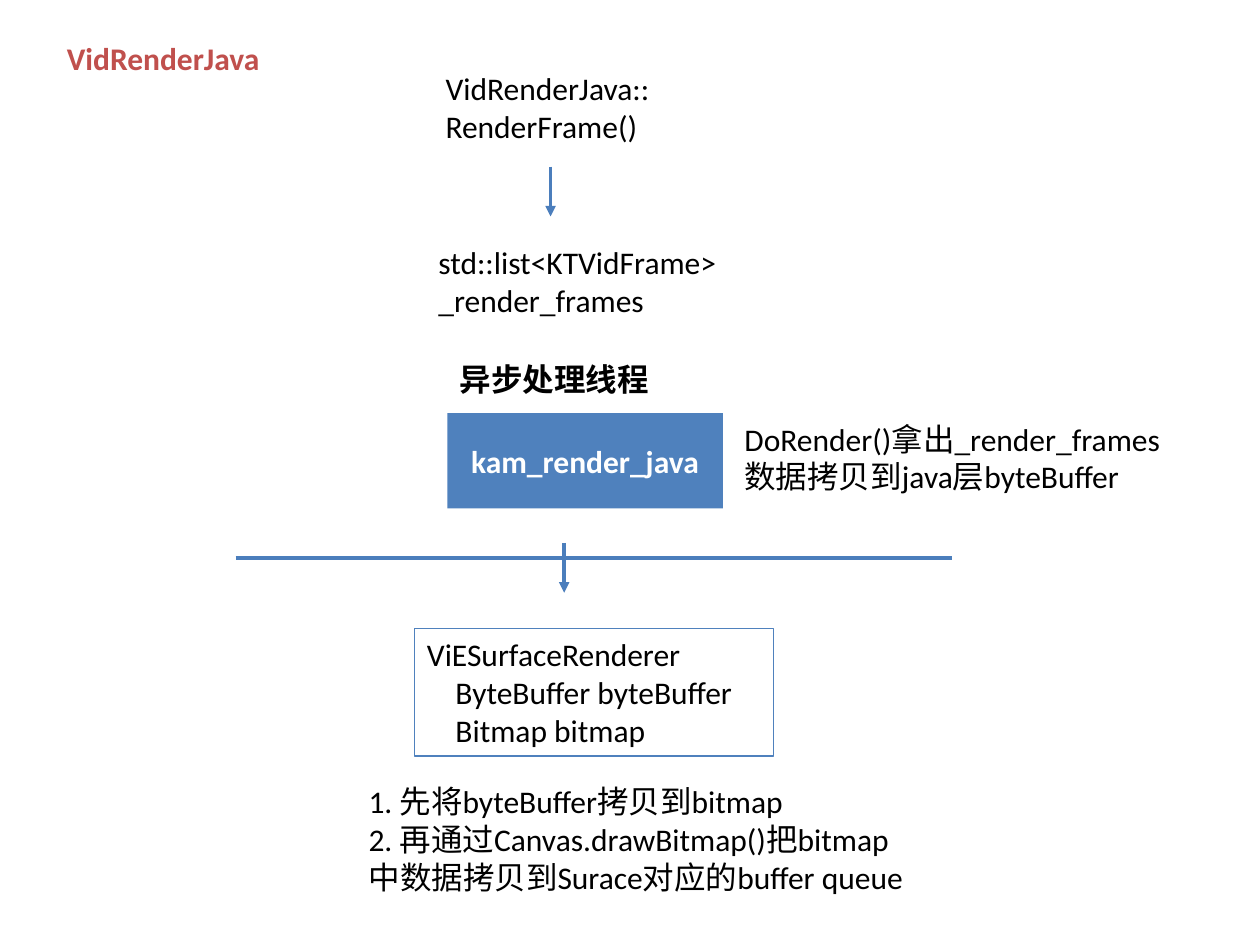
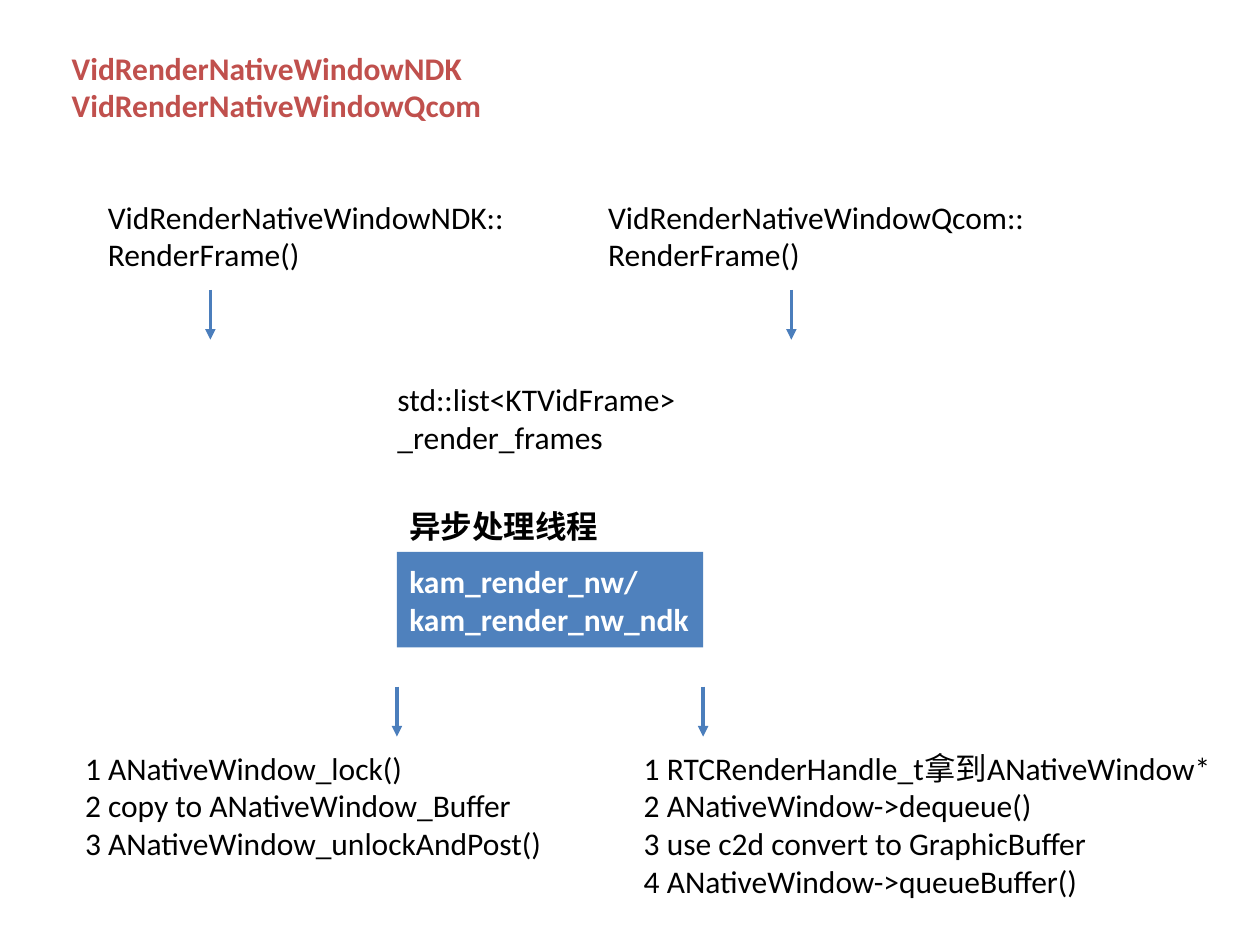
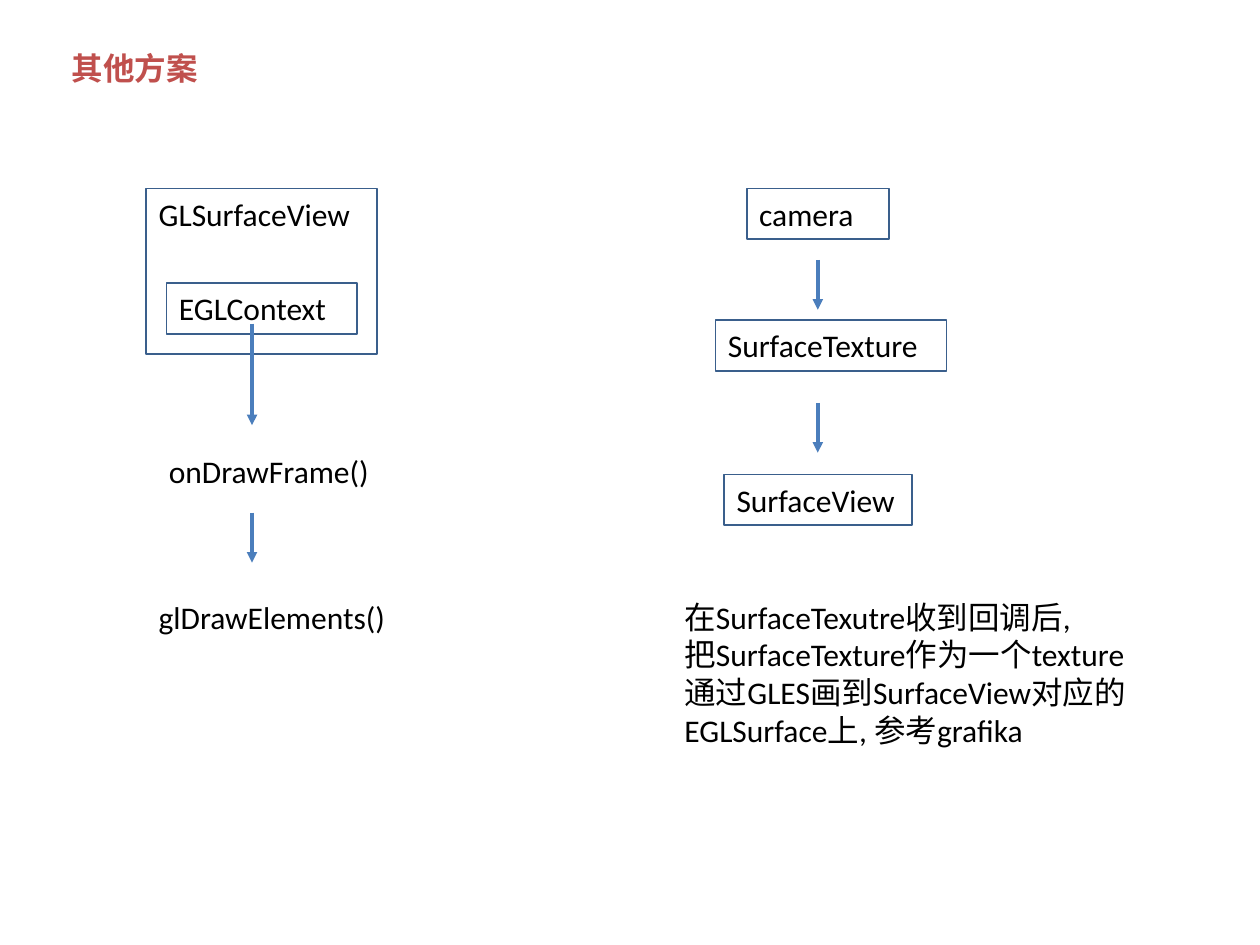
import pptx
import pptx.dml.color
import pptx.enum.shapes
import pptx.enum.text
import pptx.oxml
import pptx.oxml.ns
import pptx.util

Pt = pptx.util.Pt
ANCHOR = pptx.enum.text.MSO_ANCHOR
ALIGN = pptx.enum.text.PP_ALIGN
COLORS = {"title": "C0504D", "text": "000000", "white": "FFFFFF",
          "fill": "4F81BD", "line": "4B7EBC", "border": "3A5F8C"}
FONT = "Calibri"
FONT_SIZE = 18
ROW = 29  # height of a one-line box
LINE_PITCH = 22  # each further line of text


def rgb(name):
    return pptx.dml.color.RGBColor.from_string(COLORS[name])


def write(shape, text, color="text", bold=False, align=ALIGN.LEFT,
          anchor=ANCHOR.TOP, indent=0):
    """Write one paragraph a line; indent applies to all but the first."""
    frame = shape.text_frame
    frame.word_wrap = True
    frame.auto_size = pptx.enum.text.MSO_AUTO_SIZE.NONE
    frame.vertical_anchor = anchor
    frame.text = text
    for index, paragraph in enumerate(frame.paragraphs):
        if indent and index:
            paragraph._p.get_or_add_pPr().set("marL", str(Pt(indent)))
        paragraph.alignment = align
        for run in paragraph.runs:
            run.font.name = FONT
            run.font.size = Pt(FONT_SIZE)
            run.font.bold = bold
            run.font.color.rgb = rgb(color)


class Deck:
    def __init__(self):
        self.presentation = pptx.Presentation()
        self.presentation.slide_width = Pt(720)
        self.presentation.slide_height = Pt(540)
        self.slide = None

    def add_slide(self, title, left, top, width, lines=1):
        layout = self.presentation.slide_layouts[5]
        self.slide = self.presentation.slides.add_slide(layout)
        shape = self.slide.shapes.title
        shape.left, shape.top = Pt(left), Pt(top)
        shape.width, shape.height = Pt(width), Pt(ROW + LINE_PITCH * (lines - 1))
        write(shape, title, color="title", bold=True)

    def text(self, text, left, top, width, lines=1, **style):
        height = ROW + LINE_PITCH * (lines - 1)
        shape = self.slide.shapes.add_textbox(Pt(left), Pt(top), Pt(width), Pt(height))
        write(shape, text, **style)

    def box(self, text, left, top, width, height=ROW, fill=None,
            border=None, border_width=1, **style):
        shape = self.slide.shapes.add_shape(
            pptx.enum.shapes.MSO_SHAPE.RECTANGLE, Pt(left), Pt(top), Pt(width), Pt(height))
        shape.shadow.inherit = False
        if fill:
            shape.fill.solid()
            shape.fill.fore_color.rgb = rgb(fill)
        else:
            shape.fill.background()
        if border:
            shape.line.color.rgb = rgb(border)
            shape.line.width = Pt(border_width)
        else:
            shape.line.fill.background()
        write(shape, text, **style)

    def line(self, x1, y1, x2, y2):
        connector = self.slide.shapes.add_connector(
            pptx.enum.shapes.MSO_CONNECTOR.STRAIGHT, Pt(x1), Pt(y1), Pt(x2), Pt(y2))
        connector.line.color.rgb = rgb("line")
        connector.line.width = Pt(2)
        properties = connector._element.spPr
        properties.append(pptx.oxml.parse_xml(
            f"<a:effectLst {pptx.oxml.ns.nsdecls('a')}/>"))
        return connector

    def arrow(self, x, top, length=28.5):
        connector = self.line(x, top, x, top + length)
        connector.line._get_or_add_ln().append(pptx.oxml.parse_xml(
            f"<a:tailEnd {pptx.oxml.ns.nsdecls('a')} type='triangle'/>"))

    def frame_queue(self, left, top):
        self.text("std::list<KTVidFrame> _render_frames", left, top, 181.5, lines=2)

    def thread(self, name, left, label_top, top, width, align):
        self.text("异步处理线程", left, label_top, 134, bold=True)
        self.box(name, left, top, width, 54.5, fill="fill", color="white",
                 bold=True, align=align, anchor=ANCHOR.MIDDLE)


def java_renderer(deck):
    deck.add_slide("VidRenderJava", 31, 18.7, 126)

    # Frames go into the queue
    deck.text("VidRenderJava::\nRenderFrame()", 247.5, 36, 142, lines=2)
    deck.arrow(314.6, 95.2)
    deck.frame_queue(243.4, 135.2)

    # Thread that takes them out
    deck.thread("kam_render_java", 255.6, 202.3, 236, 157.5, ALIGN.CENTER)
    deck.text("DoRender()拿出_render_frames\n数据拷贝到java层byteBuffer",
              418.3, 236.2, 256, lines=3)

    # Border between native and Java
    deck.line(134.6, 319, 544.3, 319)
    deck.arrow(322.4, 310.2)

    # Java side
    deck.box("ViESurfaceRenderer\nByteBuffer byteBuffer\nBitmap bitmap",
             236.9, 359.3, 205, 72.7, border="fill", border_width=0.75, indent=16.3)
    deck.text("1. 先将byteBuffer拷贝到bitmap\n"
              "2. 再通过Canvas.drawBitmap()把bitmap中数据拷贝到Surace对应的buffer queue",
              203.5, 443.5, 322.5, lines=4)


def native_window_renderers(deck):
    deck.add_slide("VidRenderNativeWindowNDK\nVidRenderNativeWindowQcom",
                   33.8, 24.2, 263.5, lines=2)

    # Two sources of frames
    deck.text("VidRenderNativeWindowNDK::RenderFrame()", 54.5, 109.4, 242.5, lines=2)
    deck.text("VidRenderNativeWindowQcom::\nRenderFrame()", 340.4, 109.4, 255.5, lines=2)
    for x in (120.2, 452.2):
        deck.arrow(x, 165.6)

    # Queue and thread
    deck.frame_queue(220, 213.8)
    deck.thread("kam_render_nw/\nkam_render_nw_ndk", 226.8, 286.2, 315.4, 175, ALIGN.LEFT)

    # Output to the window
    for x in (226.8, 401.8):
        deck.arrow(x, 392.4)
    deck.text("1 ANativeWindow_lock()\n2 copy to ANativeWindow_Buffer\n"
              "3 ANativeWindow_unlockAndPost()", 41.5, 424.2, 289.5, lines=3)
    deck.text("1 RTCRenderHandle_t拿到ANativeWindow*\n2 ANativeWindow->dequeue()\n"
              "3 use c2d convert to GraphicBuffer\n4 ANativeWindow->queueBuffer()",
              360.8, 424.2, 340.5, lines=5)


def other_options(deck):
    deck.add_slide("其他方案", 33.8, 24.2, 97.5)

    # OpenGL view
    deck.box("GLSurfaceView", 83.6, 107.7, 132, 94.5, border="border")
    deck.box("EGLContext", 95.2, 161.7, 109, border="border")
    deck.arrow(144, 185, 58)
    deck.text("onDrawFrame()", 89.4, 255, 132.5)
    deck.arrow(144, 293)
    deck.text("glDrawElements()", 83.6, 338, 148.5)

    # Camera to surface
    for name, left, top, width in (("camera", 426.7, 107.7, 81.5),
                                   ("SurfaceTexture", 408.8, 182.9, 132),
                                   ("SurfaceView", 413.8, 271.2, 107.5)):
        deck.box(name, left, top, width, border="border")
    for top in (148.5, 230.2):
        deck.arrow(467.3, top)
    deck.text("在SurfaceTexutre收到回调后,\n"
              "把SurfaceTexture作为一个texture通过GLES画到SurfaceView对应的EGLSurface上, 参考grafika",
              384, 338, 276, lines=5)


def main():
    deck = Deck()
    java_renderer(deck)
    native_window_renderers(deck)
    other_options(deck)
    deck.presentation.save("out.pptx")


if __name__ == "__main__":
    main()
